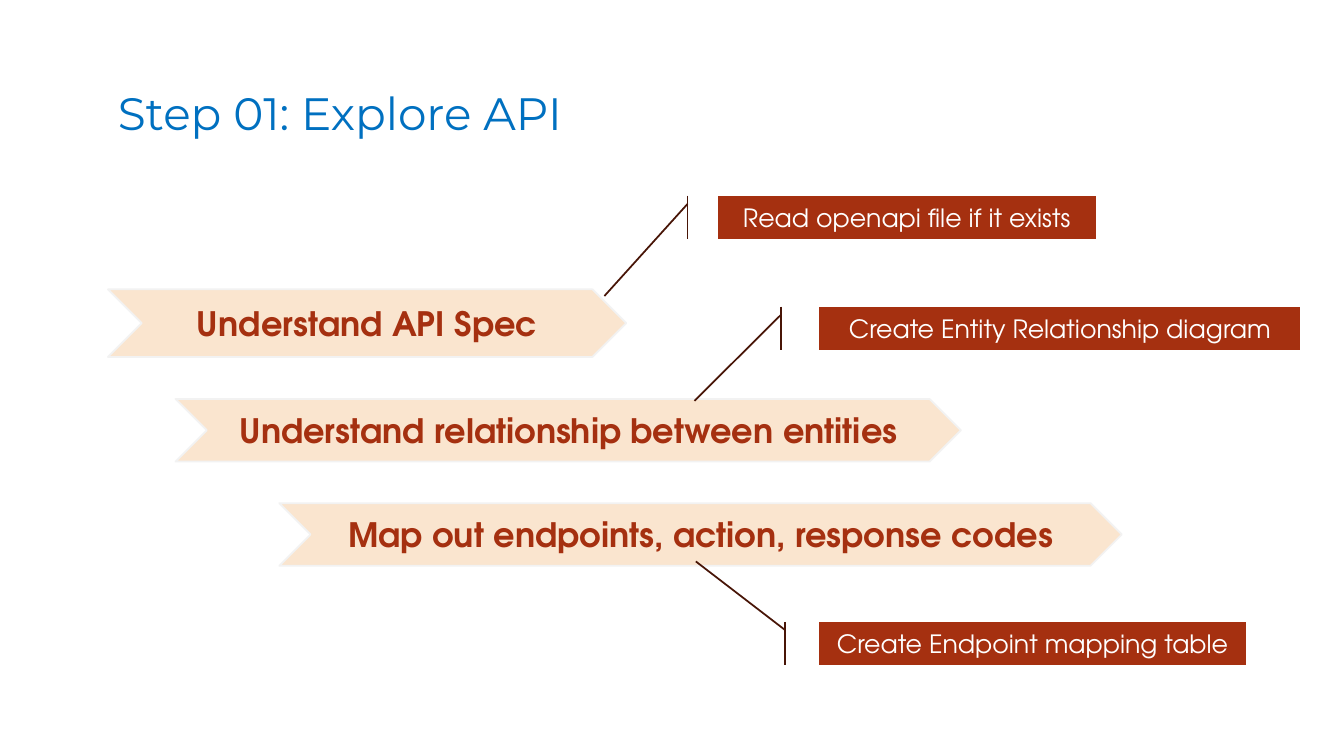
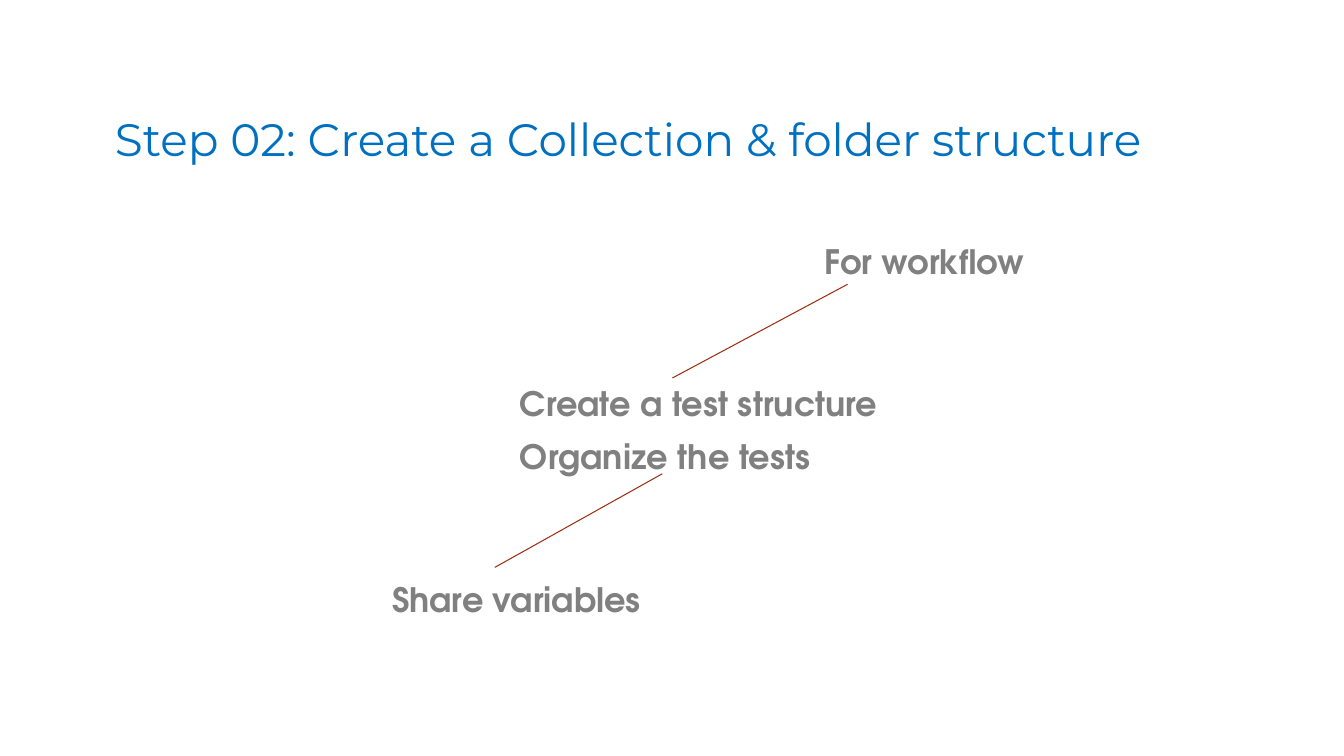
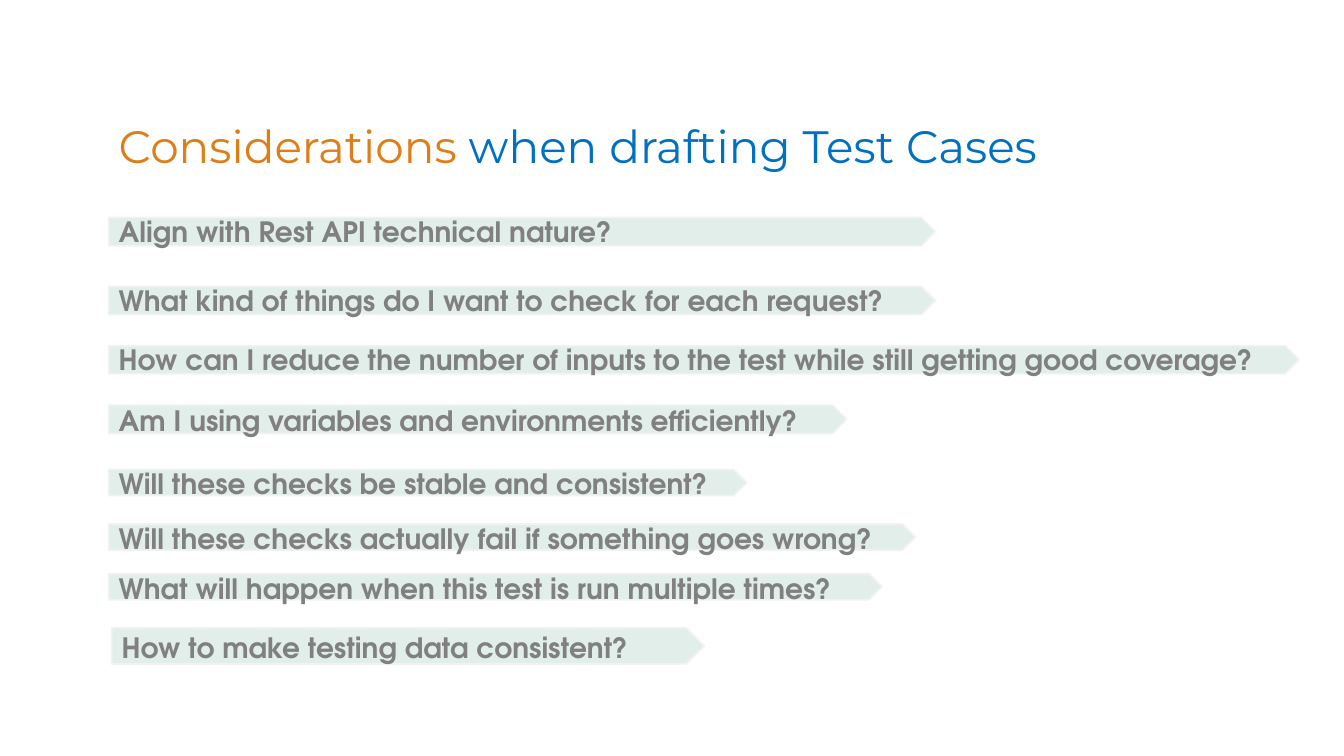
from dataclasses import dataclass

from lxml import etree
from pptx import Presentation
from pptx import util as u
from pptx.dml.color import RGBColor
from pptx.enum import shapes, text
from pptx.oxml import ns

WIDTH, HEIGHT = u.Inches(13.33), u.Inches(7.5)
COLUMN, ROW = WIDTH / 32, HEIGHT / 18

BLUE = RGBColor(0x00, 0x70, 0xC0)
ORANGE = RGBColor(0xDE, 0x7E, 0x18)
RUST = RGBColor(0xA5, 0x30, 0x10)
DARK_RUST = RGBColor(0x48, 0x15, 0x07)
LINK_RUST = RGBColor(0x9E, 0x2E, 0x0F)
PEACH = RGBColor(0xFA, 0xE5, 0xCF)
MINT = RGBColor(0xE1, 0xEE, 0xE9)
PALE = RGBColor(0xF2, 0xF2, 0xF2)
GRAY = RGBColor(0x80, 0x80, 0x80)
WHITE = RGBColor(0xFF, 0xFF, 0xFF)

TITLE_FONT, BODY_FONT = "Montserrat", "TeX Gyre Adventor"
TITLE_ROWS, LABEL_ROWS, CALLOUT_ROWS = 1.82, 1.2, 1.03


@dataclass(frozen=True)
class Area:
    col: float
    row: float
    cols: float
    rows: float

    def box(self) -> tuple[int, int, int, int]:
        return (round(self.col * COLUMN), round(self.row * ROW),
                round(self.cols * COLUMN), round(self.rows * ROW))


@dataclass(frozen=True)
class Banner:
    words: str
    area: Area
    spaced: bool = False


@dataclass(frozen=True)
class Callout:
    words: str
    area: Area
    target_down: float
    target_across: float


@dataclass(frozen=True)
class Link:
    start: tuple[float, float]
    end: tuple[float, float]


STEPS = (
    Banner("Understand API Spec", Area(2.57, 6.89, 12.34, 1.61)),
    Banner("Understand relationship between entities", Area(4.18, 9.5, 18.7, 1.49)),
    Banner("Map out endpoints, action, response codes", Area(6.65, 11.98, 20.06, 1.49)),
)
ACTIONS = (
    Callout("Read openapi file if it exists",
            Area(17.09, 4.66, 9, CALLOUT_ROWS), 2.32, -0.3),
    Callout("Create Entity Relationship diagram",
            Area(19.51, 7.3, 11.45, CALLOUT_ROWS), 2.18, -0.26),
    Callout("Create Endpoint mapping table",
            Area(19.51, 14.81, 10.15, CALLOUT_ROWS), -1.4, -0.29),
)
FOLDER_GOALS = (
    Banner("For workflow", Area(19.39, 5.62, 5.42, LABEL_ROWS)),
    Banner("Create a test structure", Area(12.14, 9, 11.76, LABEL_ROWS)),
    Banner("Organize the tests", Area(12.14, 10.27, 8.95, LABEL_ROWS)),
    Banner("Share variables", Area(9.1, 13.66, 8.71, LABEL_ROWS)),
)
GOAL_LINKS = (
    Link((11.78, 13.51), (15.77, 11.28)),
    Link((16.01, 9), (20.18, 6.77)),
)
QUESTIONS = (
    Banner("Align with Rest API technical nature?", Area(2.59, 5.18, 19.68, 0.67)),
    Banner("What kind of things do I want to check for each request?",
           Area(2.59, 6.82, 19.68, 0.67)),
    Banner("How can I reduce the number of inputs to the test while still getting good coverage?",
           Area(2.59, 8.23, 28.34, 0.67)),
    Banner("Am I using variables and environments efficiently?",
           Area(2.59, 9.65, 17.57, 0.67), True),
    Banner("Will these checks be stable and consistent?",
           Area(2.59, 11.18, 15.19, 0.62), True),
    Banner("Will these checks actually fail if something goes wrong?",
           Area(2.59, 12.48, 19.2, 0.62), True),
    Banner("What will happen when this test is run multiple times?",
           Area(2.59, 13.66, 18.41, 0.62), True),
    Banner("How to make testing data consistent?",
           Area(2.66, 14.95, 14.11, 0.86), True),
)


def write(holder, *parts: tuple[str, RGBColor], size: float, font: str = BODY_FONT,
          bold: bool = False, align=text.PP_ALIGN.LEFT, anchor=text.MSO_ANCHOR.MIDDLE,
          spaced: bool = False) -> None:
    frame = holder.text_frame
    frame.word_wrap = True
    frame.vertical_anchor = anchor
    line = frame.paragraphs[0]
    line.alignment = align
    if spaced:
        line.line_spacing = 1.07
        line.space_after = u.Pt(8)
    for words, color in parts:
        run = line.add_run()
        run.text = words
        run.font.name = font
        run.font.size = u.Pt(size)
        run.font.bold = bold
        run.font.color.rgb = color


def add_title(slide, area: Area, *parts: tuple[str, RGBColor]) -> None:
    write(slide.shapes.add_textbox(*area.box()), *parts, size=32.4, font=TITLE_FONT,
          anchor=text.MSO_ANCHOR.TOP)


def add_filled(slide, kind, area: Area, fill: RGBColor, outline: RGBColor):
    figure = slide.shapes.add_shape(kind, *area.box())
    figure.shadow.inherit = False
    figure.fill.solid()
    figure.fill.fore_color.rgb = fill
    figure.line.color.rgb = outline
    figure.line.width = u.Pt(1.25)
    return figure


def add_step(slide, step: Banner) -> None:
    chevron = add_filled(slide, shapes.MSO_SHAPE.CHEVRON, step.area, PEACH, PALE)
    write(chevron, (step.words, RUST), size=24, bold=True, align=text.PP_ALIGN.CENTER)


def add_callout(slide, action: Callout) -> None:
    callout = add_filled(slide, shapes.MSO_SHAPE.LINE_CALLOUT_1_ACCENT_BAR, action.area,
                         RUST, DARK_RUST)
    bends = (0.19, -0.08, action.target_down, action.target_across)
    for index, bend in enumerate(bends):
        callout.adjustments[index] = bend
    write(callout, (action.words, WHITE), size=18, align=text.PP_ALIGN.CENTER)


def add_goal(slide, goal: Banner) -> None:
    label = slide.shapes.add_textbox(*goal.area.box())
    write(label, (goal.words, GRAY), size=24, bold=True, anchor=text.MSO_ANCHOR.TOP)
    label.text_frame.auto_size = text.MSO_AUTO_SIZE.SHAPE_TO_FIT_TEXT


def add_link(slide, link: Link) -> None:
    ends = [round(share * unit) for point in (link.start, link.end)
            for share, unit in zip(point, (COLUMN, ROW))]
    line = slide.shapes.add_connector(shapes.MSO_CONNECTOR.STRAIGHT, *ends)
    line.line.color.rgb = LINK_RUST
    line.line.width = u.Pt(0.75)
    etree.SubElement(line._element.spPr, ns.qn("a:effectLst"))


def add_question(slide, question: Banner) -> None:
    plate = add_filled(slide, shapes.MSO_SHAPE.PENTAGON, question.area, MINT, PALE)
    write(plate, (question.words, GRAY), size=20, bold=True, spaced=question.spaced)


def main() -> None:
    deck = Presentation()
    deck.slide_width, deck.slide_height = WIDTH, HEIGHT
    explore, collection, drafting = (
        deck.slides.add_slide(deck.slide_layouts[6]) for _ in range(3))

    add_title(explore, Area(2.57, 1.92, 16.22, TITLE_ROWS), ("Step 01: Explore API", BLUE))
    for step in STEPS:
        add_step(explore, step)
    for action in ACTIONS:
        add_callout(explore, action)

    add_title(collection, Area(2.5, 2.52, 28.85, TITLE_ROWS),
              ("Step 02: Create a Collection & folder structure", BLUE))
    for goal in FOLDER_GOALS:
        add_goal(collection, goal)
    for link in GOAL_LINKS:
        add_link(collection, link)

    add_title(drafting, Area(2.59, 2.69, 25.58, TITLE_ROWS),
              ("Considerations", ORANGE), (" when drafting Test Cases", BLUE))
    for question in QUESTIONS:
        add_question(drafting, question)

    deck.save("out.pptx")


if __name__ == "__main__":
    main()
